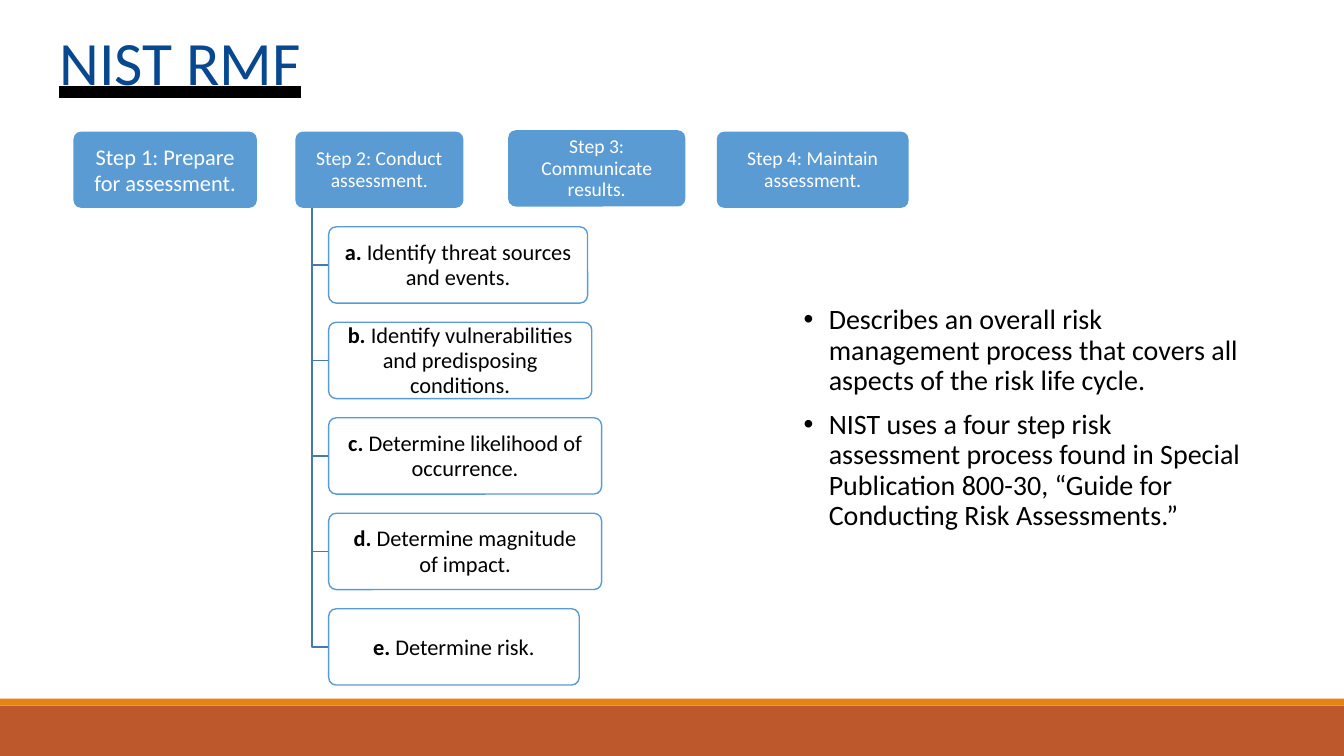
from pptx import Presentation
from pptx.dml.color import RGBColor
from pptx.enum.shapes import MSO_SHAPE as Shape
from pptx.enum.text import MSO_ANCHOR as Anchor, MSO_UNDERLINE as Underline, PP_ALIGN as Align
from pptx.oxml import parse_xml
from pptx.oxml.ns import nsdecls
from pptx.util import Pt

COLORS = {
    "title": "074891", "black": "000000", "white": "FFFFFF", "step": "5B9BD4",
    "branch": "467AA9", "rust": "BD582C", "orange": "E48312",
}


def color(name):
    return RGBColor.from_string(COLORS[name])


def add_box(kind, left, top, width, height, fill=None, line=None, inset=0):
    """Add a preset shape, filled or outlined, ready for centred text."""
    box = page.shapes.add_shape(kind, Pt(left), Pt(top), Pt(width), Pt(height))
    box.shadow.inherit = False
    if fill:
        box.fill.solid()
        box.fill.fore_color.rgb = color(fill)
    else:
        box.fill.background()
    if line:
        box.line.color.rgb = color(line)
        box.line.width = Pt(1)
    else:
        box.line.fill.background()
    if kind == Shape.ROUNDED_RECTANGLE:
        box.adjustments[0] = 0.1
    frame = box.text_frame
    frame.word_wrap = True
    frame.vertical_anchor = Anchor.MIDDLE
    frame.margin_left = frame.margin_right = Pt(inset)
    frame.margin_top = frame.margin_bottom = 0
    return box


deck = Presentation()
deck.slide_width, deck.slide_height = Pt(960), Pt(540)
page = deck.slides.add_slide(deck.slide_layouts[5])

# Footer bands
add_box(Shape.RECTANGLE, 0, 504, 960, 36, fill="rust")
add_box(Shape.RECTANGLE, 0, 499, 960, 5, fill="orange")

# Title
title = page.shapes.title
title.left, title.top, title.width, title.height = Pt(42.5), Pt(15), Pt(660), Pt(55)
frame = title.text_frame
frame.text = "NIST RMF"
frame.vertical_anchor = Anchor.BOTTOM
frame.margin_left = frame.margin_right = frame.margin_top = frame.margin_bottom = 0
frame.paragraphs[0].alignment = Align.LEFT
span = frame.paragraphs[0].runs[0]
span.font.name, span.font.size = "Calibri", Pt(44)
span.font.color.rgb = color("title")
span.font.underline = Underline.HEAVY_LINE
underline_fill = parse_xml(
    f'<a:uFill {nsdecls("a")}><a:solidFill><a:srgbClr val="{COLORS["black"]}"/></a:solidFill></a:uFill>')
span.font._element.find("{*}solidFill").addnext(underline_fill)

# Four steps: text, left, top, width, font size, line spacing, side inset
STEPS = [
    ("Step 1: Prepare for assessment.", 52.5, 94, 131, 16, 18.4, 4),
    ("Step 2: Conduct assessment.", 211, 94, 120, 14, 15.4, 4),
    ("Step 3: Communicate results.", 363, 93, 126.5, 14, 15.4, 16),
    ("Step 4: Maintain assessment.", 512, 94, 137, 14, 15.4, 4),
]
STEP_HEIGHT = 54.5
for text, left, top, width, size, spacing, inset in STEPS:
    box = add_box(Shape.ROUNDED_RECTANGLE, left, top, width, STEP_HEIGHT, fill="step", inset=inset)
    box.text_frame.text = text
    para = box.text_frame.paragraphs[0]
    para.alignment, para.line_spacing = Align.CENTER, Pt(spacing)
    para.font.name, para.font.size = "Calibri", Pt(size)
    para.font.color.rgb = color("white")
box.text_frame.margin_left = Pt(4)

# Tasks of step 2, each joined to the trunk below it
TASKS = [
    ("a. ", "Identify threat sources and events.", 185),
    ("b. ", "Identify vulnerabilities and predisposing conditions.", 188),
    ("c. ", "Determine likelihood of occurrence.", 195),
    ("d. ", "Determine magnitude of impact.", 195),
    ("e. ", "Determine risk.", 179),
]
TRUNK_X, TRUNK_TOP, TASK_LEFT = 222.75, 148.5, 234.75
TASK_TOP, TASK_PITCH, TASK_HEIGHT = 162, 68.2, 54.5
for index, (letter, text, width) in enumerate(TASKS):
    top = TASK_TOP + index * TASK_PITCH
    middle = top + TASK_HEIGHT / 2
    builder = page.shapes.build_freeform(Pt(TRUNK_X), Pt(TRUNK_TOP))
    builder.add_line_segments(
        [(Pt(TRUNK_X), Pt(middle)), (Pt(TASK_LEFT), Pt(middle))], close=False)
    branch = builder.convert_to_shape()
    branch.shadow.inherit = False
    branch.fill.background()
    branch.line.color.rgb = color("branch")
    branch.line.width = Pt(1)

    box = add_box(Shape.ROUNDED_RECTANGLE, TASK_LEFT, top, width, TASK_HEIGHT, line="step", inset=8)
    para = box.text_frame.paragraphs[0]
    para.alignment, para.line_spacing = Align.CENTER, Pt(18)
    for part in (letter, text):
        span = para.add_run()
        span.text = part
        span.font.name, span.font.size = "Calibri", Pt(16)
        span.font.bold = part == letter
        span.font.color.rgb = color("black")

# Bulleted notes
NOTES = [
    "Describes an overall risk management process that covers all aspects of the risk life cycle.",
    "NIST uses a four step risk assessment process found in Special Publication 800-30, "
    "“Guide for Conducting Risk Assessments.”",
]
notes = page.shapes.add_textbox(Pt(573), Pt(214.5), Pt(314), Pt(165.5))
frame = notes.text_frame
frame.word_wrap = True
frame.margin_left = frame.margin_right = frame.margin_bottom = 0
frame.margin_top = Pt(3.6)
frame.text = "\n".join(NOTES)
for index, para in enumerate(frame.paragraphs):
    properties = para._p.get_or_add_pPr()
    properties.set("marL", str(Pt(19)))
    properties.set("indent", str(-Pt(18)))
    properties.append(parse_xml(f'<a:buFont {nsdecls("a")} typeface="Arial"/>'))
    properties.append(parse_xml(f'<a:buChar {nsdecls("a")} char="•"/>'))
    para.line_spacing = Pt(21.6)
    if index:
        para.space_before = Pt(10)
    para.font.name, para.font.size = "Calibri", Pt(20)
    para.font.color.rgb = color("black")

deck.save("out.pptx")
